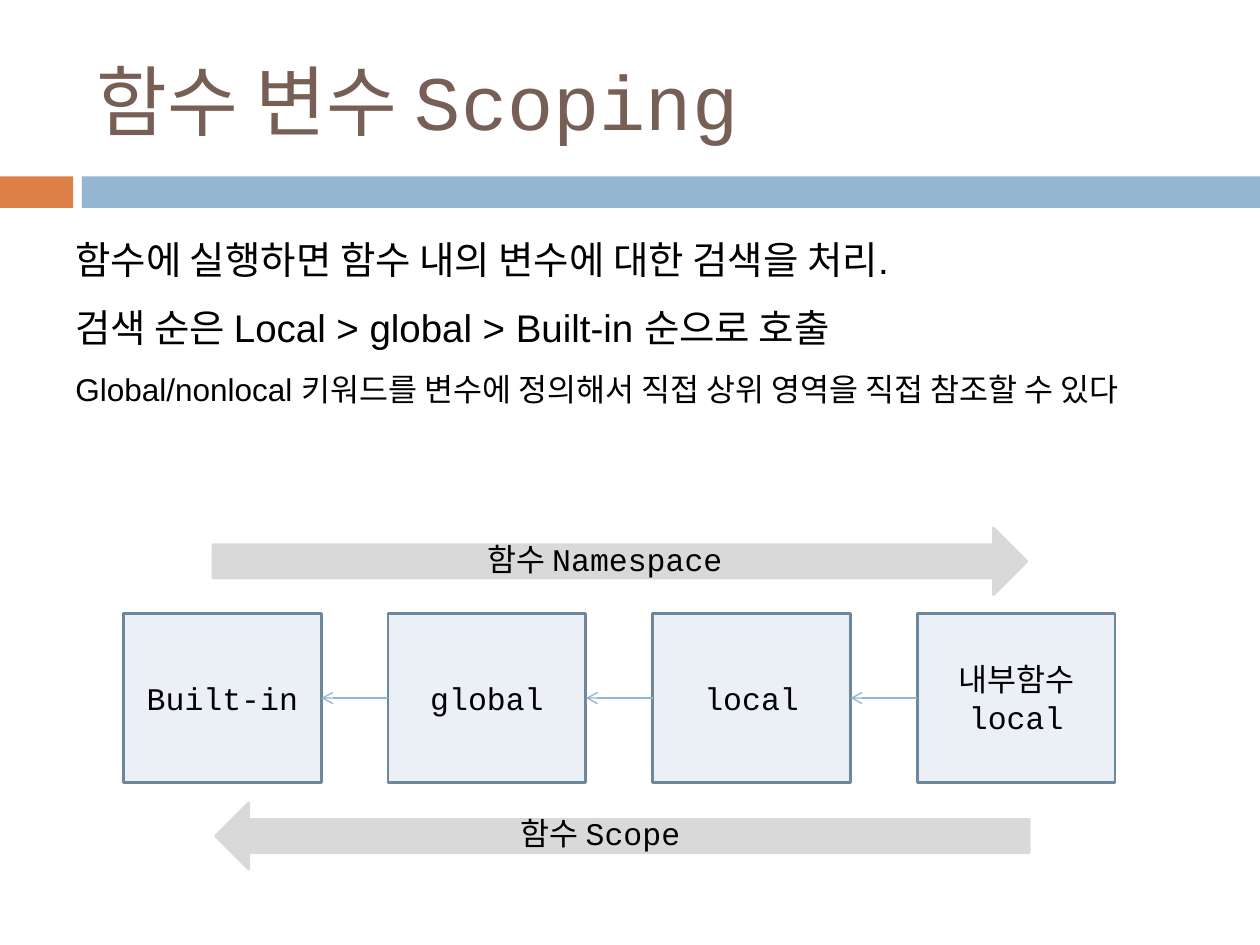
from lxml.etree import SubElement
from pptx import Presentation
from pptx.dml.color import RGBColor
from pptx.enum.shapes import MSO_CONNECTOR, MSO_SHAPE
from pptx.enum.text import MSO_ANCHOR, PP_ALIGN
from pptx.oxml.ns import qn
from pptx.util import Inches, Pt

LEFT_SIDE, RIGHT_SIDE = 1, 3


def color(hex_string):
    return RGBColor.from_string(hex_string)


def apply(target, values):
    """Set each attribute of target named in the values dict."""
    for name, value in values.items():
        setattr(target, name, value)


class SlideBuilder:
    orange, blue, brown = "DD8047", "94B6D2", "775F55"
    box_fill, box_line, gray, black = "EAF0F6", "6D879B", "D9D9D9", "000000"
    label_font = {"name": "Courier New", "size": Pt(18)}
    centered = {"alignment": PP_ALIGN.CENTER}

    def __init__(self, slide):
        self.slide = slide

    def set_lines(self, shape, lines, fonts, paragraph_format, anchor, font_color=black):
        """Fill a shape with one paragraph per line, each with its own font."""
        frame = shape.text_frame
        apply(frame, {"word_wrap": True, "vertical_anchor": anchor})
        for index, (line, font) in enumerate(zip(lines, fonts)):
            paragraph = frame.add_paragraph() if index else frame.paragraphs[0]
            paragraph.text = line
            apply(paragraph, paragraph_format)
            apply(paragraph.font, font)
            paragraph.font.color.rgb = color(font_color)
        frame.paragraphs[0].space_before = Pt(0)

    def shape(self, kind, bounds, fill, line=None, rotation=0):
        shape = self.slide.shapes.add_shape(kind, *map(Inches, bounds))
        shape.rotation = rotation
        shape.shadow.inherit = False
        shape.fill.solid()
        shape.fill.fore_color.rgb = color(fill)
        if line:
            shape.line.color.rgb = color(line)
            shape.line.width = Pt(1.5)
        else:
            shape.line.fill.background()
        return shape

    def text(self, bounds, lines, fonts, paragraph_format,
             anchor=MSO_ANCHOR.TOP, font_color=black):
        box = self.slide.shapes.add_textbox(*map(Inches, bounds))
        self.set_lines(box, lines, fonts, paragraph_format, anchor, font_color)

    def label(self, bounds, line):
        self.text(bounds, [line], [self.label_font], self.centered)

    def scope_box(self, bounds, lines):
        box = self.shape(MSO_SHAPE.RECTANGLE, bounds, self.box_fill, self.box_line)
        self.set_lines(box, lines, [self.label_font] * len(lines),
                       self.centered, MSO_ANCHOR.MIDDLE)
        return box

    def block_arrow(self, bounds, rotation=0):
        self.shape(MSO_SHAPE.RIGHT_ARROW, bounds, self.gray, self.gray, rotation)

    def link(self, inner, outer):
        """Point an arrow from the inner scope to the outer scope on its left."""
        connector = self.slide.shapes.add_connector(MSO_CONNECTOR.STRAIGHT, 0, 0, 0, 0)
        connector.begin_connect(inner, LEFT_SIDE)
        connector.end_connect(outer, RIGHT_SIDE)
        connector.line.color.rgb = color(self.blue)
        connector.line.width = Pt(0.79)
        properties = connector.element.spPr
        SubElement(properties.find(qn("a:ln")), qn("a:tailEnd"), type="arrow")
        SubElement(properties, qn("a:effectLst"))


def main():
    presentation = Presentation()
    apply(presentation, {"slide_width": Inches(10), "slide_height": Inches(7.5)})
    builder = SlideBuilder(presentation.slides.add_slide(presentation.slide_layouts[6]))

    builder.shape(MSO_SHAPE.RECTANGLE, (0, 1.4, 0.58, 0.25), builder.orange)
    builder.shape(MSO_SHAPE.RECTANGLE, (0.65, 1.4, 9.35, 0.25), builder.blue)
    builder.text((0.67, 0.25, 8.92, 1.08), ["함수 변수 Scoping"],
                 [{"name": "Courier New", "size": Pt(44)}], {},
                 MSO_ANCHOR.MIDDLE, builder.brown)
    builder.text(
        (0.5, 1.75, 9, 2.31),
        ["함수에 실행하면 함수 내의 변수에 대한 검색을 처리.",
         "검색 순은 Local > global > Built-in 순으로 호출",
         "Global/nonlocal 키워드를 변수에 정의해서 직접 상위 영역을 직접 참조할 수 있다"],
        [{"name": "Arial", "size": Pt(size)} for size in (22, 22, 18)],
        {"line_spacing": 1.2, "space_before": Pt(7)})

    builder.block_arrow((1.69, 4.19, 6.46, 0.53))
    builder.label((3.03, 4.24, 3.54, 0.4), "함수 Namespace")
    builder.block_arrow((1.71, 6.37, 6.46, 0.53), rotation=180)
    builder.label((3.74, 6.41, 2.2, 0.4), "함수 Scope ")

    scopes = [["Built-in"], ["global"], ["local"], ["내부함수", "local"]]
    boxes = [builder.scope_box((0.98 + 2.1 * column, 4.87, 1.57, 1.34), lines)
             for column, lines in enumerate(scopes)]
    for outer, inner in zip(boxes, boxes[1:]):
        builder.link(inner, outer)

    presentation.save("out.pptx")


if __name__ == "__main__":
    main()
